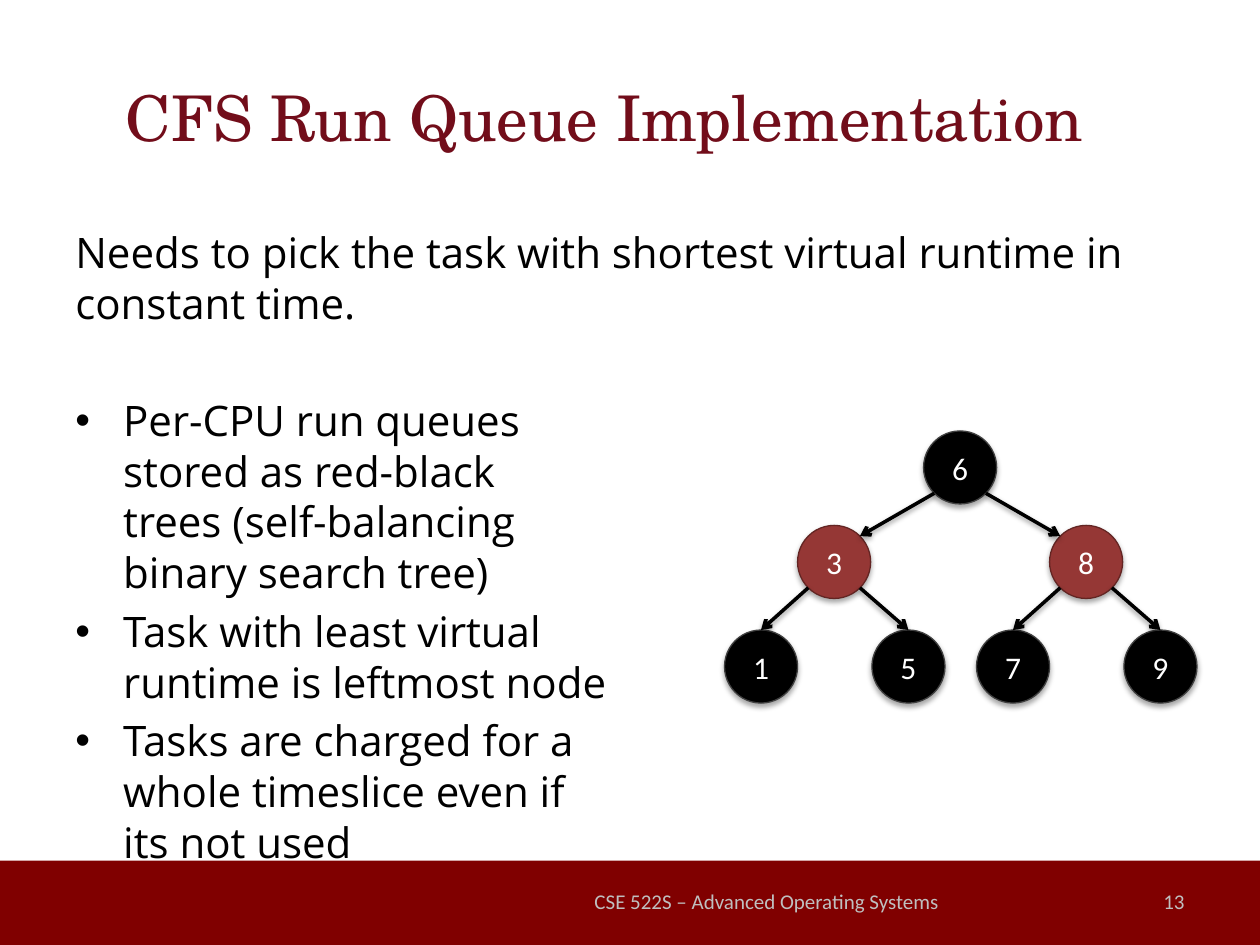
from dataclasses import dataclass
from math import sqrt
from lxml import etree
from pptx import Presentation
from pptx.dml.color import RGBColor as Rgb
from pptx.enum.shapes import MSO_CONNECTOR as Conn, MSO_SHAPE as Kind
from pptx.enum.text import MSO_ANCHOR as Anchor, PP_ALIGN as Align
from pptx.oxml.ns import qn
from pptx.util import Inches, Pt


@dataclass(frozen=True)
class Theme:
    """Colours, fonts and type sizes."""
    bar: str = "800000"
    title: str = "720D1A"
    ink: str = "000000"
    rim: str = "404040"
    red: str = "953735"
    edge: str = "632523"
    white: str = "FFFFFF"
    pale: str = "BFBFBF"
    serif: str = "TeX Gyre Schola"
    sans: str = "Open Sans"
    small: str = "Calibri"
    head: float = 36
    body: float = 24
    node: float = 18
    foot: float = 12
    pitch: float = 28.9


def write(frame, text, size, font, color, align=Align.LEFT, first=True,
          before=0, pitch=None, bullet=None):
    """Add one formatted paragraph to a text frame."""
    para = frame.paragraphs[0] if first else frame.add_paragraph()
    para.text = text
    para.alignment = align
    para.space_before = Pt(before)
    if pitch:
        para.line_spacing = Pt(pitch)
    if bullet:
        props = para._p.get_or_add_pPr()
        props.set("marL", str(Inches(0.38)))
        props.set("indent", str(-Inches(0.38)))
        etree.SubElement(props, qn("a:buFont")).set("typeface", "Arial")
        etree.SubElement(props, qn("a:buChar")).set("char", bullet)
    for run in para.runs:
        run.font.size, run.font.name = Pt(size), font
        run.font.color.rgb = Rgb.from_string(color)


class Deck:
    """Draws styled elements on the current slide."""

    def __init__(self, theme):
        """Start a file with one blank slide."""
        self.theme = theme
        self.file = Presentation()
        self.file.slide_width, self.file.slide_height = Inches(10), Inches(7.5)
        self.slide = self.file.slides.add_slide(self.file.slide_layouts[6])

    def shade(self, shape, alpha, dist):
        """Give a shape a soft shadow falling downwards."""
        props = shape._element.spPr
        for old in props.findall(qn("a:effectLst")):
            props.remove(old)
        glow = etree.SubElement(etree.SubElement(props, qn("a:effectLst")), qn("a:outerShdw"))
        for key, val in (("blurRad", Pt(3.1)), ("dist", Pt(dist)), ("dir", 5400000), ("rotWithShape", 0)):
            glow.set(key, str(int(val)))
        tint = etree.SubElement(glow, qn("a:srgbClr"), val=self.theme.ink)
        etree.SubElement(tint, qn("a:alpha"), val=str(alpha * 1000))

    def shape(self, kind, box, fill, line=None):
        """Add a filled preset shape."""
        shape = self.slide.shapes.add_shape(kind, *map(Inches, box))
        shape.shadow.inherit = False
        shape.fill.solid()
        shape.fill.fore_color.rgb = Rgb.from_string(fill)
        if line:
            shape.line.color.rgb = Rgb.from_string(line)
            shape.line.width = Pt(0.75)
        else:
            shape.line.fill.background()
        return shape

    def frame(self, box, anchor=Anchor.MIDDLE):
        """Add a wrapping text box and return its frame."""
        frame = self.slide.shapes.add_textbox(*map(Inches, box)).text_frame
        frame.word_wrap = True
        frame.vertical_anchor = anchor
        return frame

    def node(self, key, left, top, size, red):
        """Add a tree node."""
        look = self.theme
        fill, rim = (look.red, look.edge) if red else (look.ink, look.rim)
        disc = self.shape(Kind.OVAL, (left, top, size, size), fill, rim)
        self.shade(disc, 35, 1.8)
        frame = disc.text_frame
        frame.vertical_anchor = Anchor.MIDDLE
        write(frame, key, look.node, look.small, look.white, Align.CENTER)

    def arrow(self, start, end):
        """Add an arrow between two points."""
        line = self.slide.shapes.add_connector(Conn.STRAIGHT, *map(Inches, (*start, *end)))
        line.line.color.rgb = Rgb.from_string(self.theme.ink)
        line.line.width = Pt(2)
        etree.SubElement(line.line._get_or_add_ln(), qn("a:tailEnd"), type="arrow")
        self.shade(line, 38, 1.6)


look = Theme()
deck = Deck(look)
deck.shape(Kind.RECTANGLE, (0, 6.83, 10, 0.67), look.bar)

title = deck.frame((0.5, 0.3, 9, 1.25))
title.margin_right = Inches(0.5)
write(title, "CFS Run Queue Implementation", look.head, look.serif, look.title, Align.CENTER)

body = deck.frame((0.5, 1.75, 9, 4.95), Anchor.TOP)
points = (
    ("Needs to pick the task with shortest virtual runtime in constant time.", 0, None),
    ("Per-CPU run queues \nstored as red-black \ntrees (self-balancing\nbinary search tree)", 38, "•"),
    ("Task with least virtual \nruntime is leftmost node", 4.8, "•"),
    ("Tasks are charged for a \nwhole timeslice even if \nits not used", 4.8, "•"),
)
for rank, (text, gap, mark) in enumerate(points):
    write(body, text, look.body, look.sans, look.ink, first=rank == 0,
          before=gap, pitch=look.pitch, bullet=mark)

for text, box, align in (
    ("CSE 522S – Advanced Operating Systems", (4.5, 6.95, 3.17, 0.4), Align.CENTER),
    ("13", (7.17, 6.95, 2.33, 0.4), Align.RIGHT),
):
    write(deck.frame(box), text, look.foot, look.small, look.pale, align)

size = 0.58
half = size / 2
slant = half / sqrt(2)
rows = (3.42, 4.17, 5)
tree = {"6": (7.33, 0, None), "3": (6.33, 1, "6"), "8": (8.33, 1, "6"),
        "7": (7.75, 2, "8"), "9": (8.92, 2, "8"), "1": (5.75, 2, "3"), "5": (6.92, 2, "3")}
for key, (left, row, root) in tree.items():
    deck.node(key, left, rows[row], size, row == 1)
for left, row, root in tree.values():
    if root:
        base, level, top = tree[root]
        side = 1 if left > base else -1
        start = (base + half + side * slant, rows[level] + half + slant)
        end = ((left + half - side * slant, rows[row] + half - slant) if row == 1
               else (left + half, rows[row]))
        deck.arrow(start, end)

deck.file.save("out.pptx")
